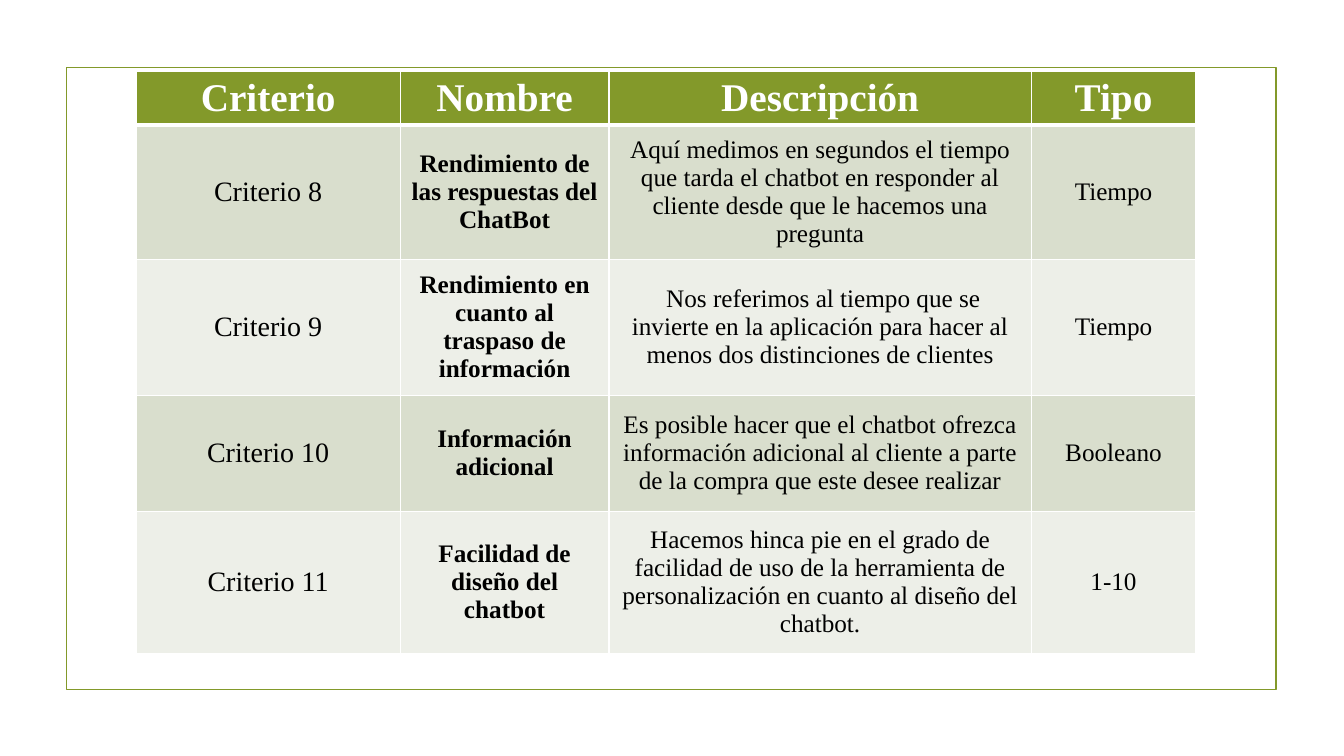
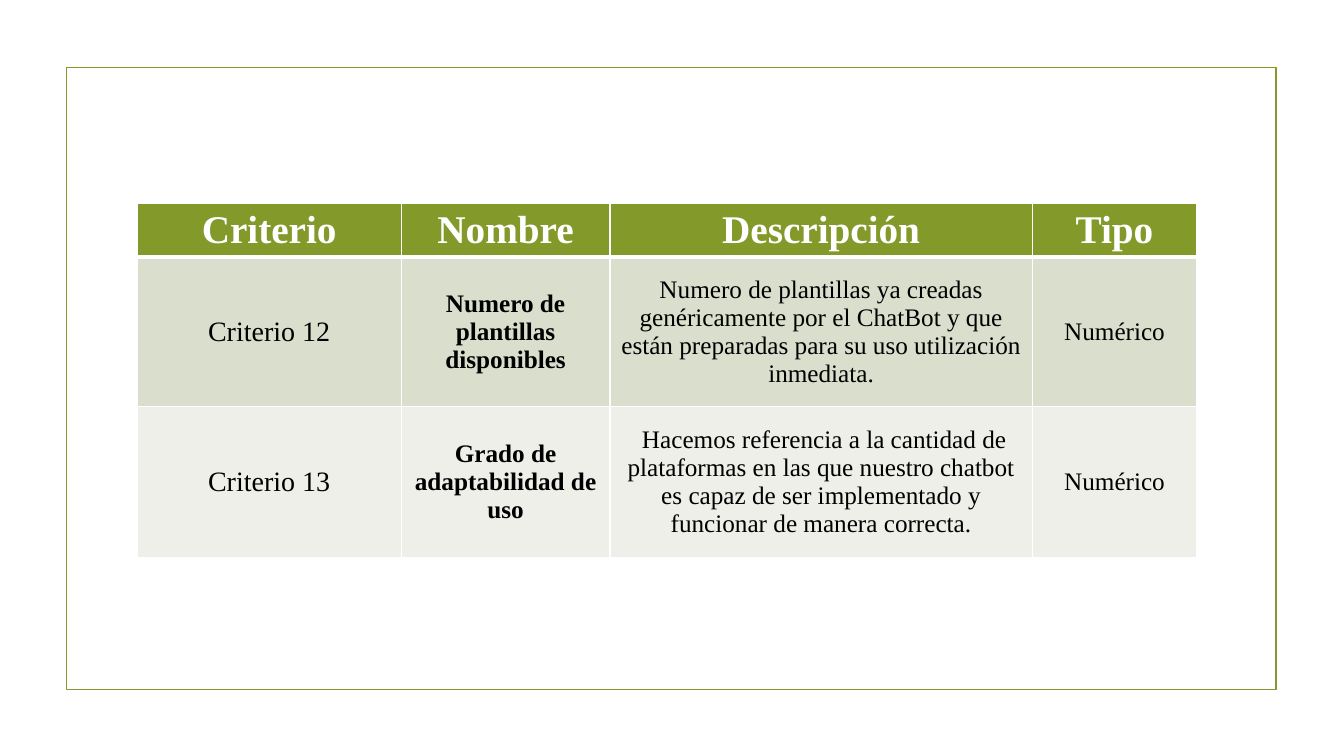
from lxml import etree
from pptx import Presentation
from pptx.dml.color import RGBColor
from pptx.enum.shapes import MSO_SHAPE
from pptx.enum.text import MSO_ANCHOR, PP_ALIGN
from pptx.oxml.ns import qn
from pptx.util import Inches, Pt

RECTANGLE = MSO_SHAPE.RECTANGLE
MIDDLE = MSO_ANCHOR.MIDDLE
CENTER = PP_ALIGN.CENTER

COLORS = {
    "green": "83992A",
    "band_dark": "D9DECD",
    "band_light": "EDEFE8",
    "white": "FFFFFF",
    "black": "000000",
}
FONT = "Times New Roman"
COLUMN_WIDTHS = [2.62, 2.07, 4.19, 1.63]
HEADER = ["Criterio", "Nombre", "Descripción", "Tipo"]
BODY_FORMATS = [{"size": 20}, {"size": 18, "bold": True}, {"size": 18}, {"size": 18}]

CRITERIA_8_TO_11 = [
    ["Criterio 8", "Rendimiento de las respuestas del ChatBot",
     "Aquí medimos en segundos el tiempo que tarda el chatbot en responder al cliente "
     "desde que le hacemos una pregunta", "Tiempo"],
    ["Criterio 9", "Rendimiento en cuanto al traspaso de información",
     " Nos referimos al tiempo que se invierte en la aplicación para hacer al menos "
     "dos distinciones de clientes", "Tiempo"],
    ["Criterio 10", "Información adicional",
     "Es posible hacer que el chatbot ofrezca información adicional al cliente a parte "
     "de la compra que este desee realizar", "Booleano"],
    ["Criterio 11", "Facilidad de diseño del chatbot",
     "Hacemos hinca pie en el grado de facilidad de uso de la herramienta de "
     "personalización en cuanto al diseño del chatbot.", "1-10"],
]
CRITERIA_12_TO_13 = [
    ["Criterio 12", "Numero de plantillas disponibles",
     "Numero de plantillas ya creadas genéricamente por el ChatBot y que están "
     "preparadas para su uso utilización inmediata.", "Numérico"],
    ["Criterio 13", "Grado de adaptabilidad de uso",
     " Hacemos referencia a la cantidad de plataformas en las que nuestro chatbot es "
     "capaz de ser implementado y funcionar de manera correcta.", "Numérico"],
]


def rgb(name):
    return RGBColor.from_string(COLORS[name])


def write_text(tf, text, size=18, bold=False, color="black", align=CENTER):
    p = tf.paragraphs[0]
    p.alignment = align
    r = p.add_run()
    r.text = text
    r.font.name = FONT
    r.font.size = Pt(size)
    r.font.bold = bold
    r.font.color.rgb = rgb(color)


def set_borders(cell, top=1, bottom=1):
    tc_pr = cell._tc.get_or_add_tcPr()
    for side, width in (("L", 1), ("R", 1), ("T", top), ("B", bottom)):
        ln = etree.SubElement(tc_pr, qn(f"a:ln{side}"), w=str(Pt(width)))
        fill = etree.SubElement(ln, qn("a:solidFill"))
        etree.SubElement(fill, qn("a:srgbClr"), val=COLORS["white"])


def format_cell(cell, text, fill, top=1, bottom=1, **text_format):
    set_borders(cell, top, bottom)
    cell.fill.solid()
    cell.fill.fore_color.rgb = rgb(fill)
    cell.vertical_anchor = MIDDLE
    write_text(cell.text_frame, text, **text_format)


def add_frame(s):
    sp = s.shapes.add_shape(RECTANGLE, Inches(0.66), Inches(0.67), Inches(12), Inches(6.17))
    sp.shadow.inherit = False
    sp.fill.background()
    sp.line.color.rgb = rgb("green")
    sp.line.width = Pt(1.25)


def add_criteria_table(s, left, top, row_heights, criteria):
    table = s.shapes.add_table(
        len(row_heights), len(COLUMN_WIDTHS), Inches(left), Inches(top),
        Inches(sum(COLUMN_WIDTHS)), Inches(sum(row_heights))).table
    for column, width in zip(table.columns, COLUMN_WIDTHS):
        column.width = Inches(width)
    for row, height in zip(table.rows, row_heights):
        row.height = Inches(height)
    for col, text in enumerate(HEADER):
        format_cell(table.cell(0, col), text, "green", bottom=3,
                    size=28, bold=True, color="white")
    for row, texts in enumerate(criteria, start=1):
        band = "band_dark" if row % 2 else "band_light"
        for col, (text, text_format) in enumerate(zip(texts, BODY_FORMATS)):
            format_cell(table.cell(row, col), text, band,
                        top=3 if row == 1 else 1, **text_format)


def add_criteria_slide(prs, left, top, row_heights, criteria):
    s = prs.slides.add_slide(prs.slide_layouts[6])
    add_frame(s)
    add_criteria_table(s, left, top, row_heights, criteria)


def main():
    prs = Presentation()
    prs.slide_width = Inches(13.33)
    prs.slide_height = Inches(7.5)
    add_criteria_slide(prs, 1.35, 0.71, [0.5, 1.33, 1.35, 1.15, 1.41], CRITERIA_8_TO_11)
    add_criteria_slide(prs, 1.36, 2.02, [0.53, 1.48, 1.5], CRITERIA_12_TO_13)
    prs.save("out.pptx")


if __name__ == "__main__":
    main()
